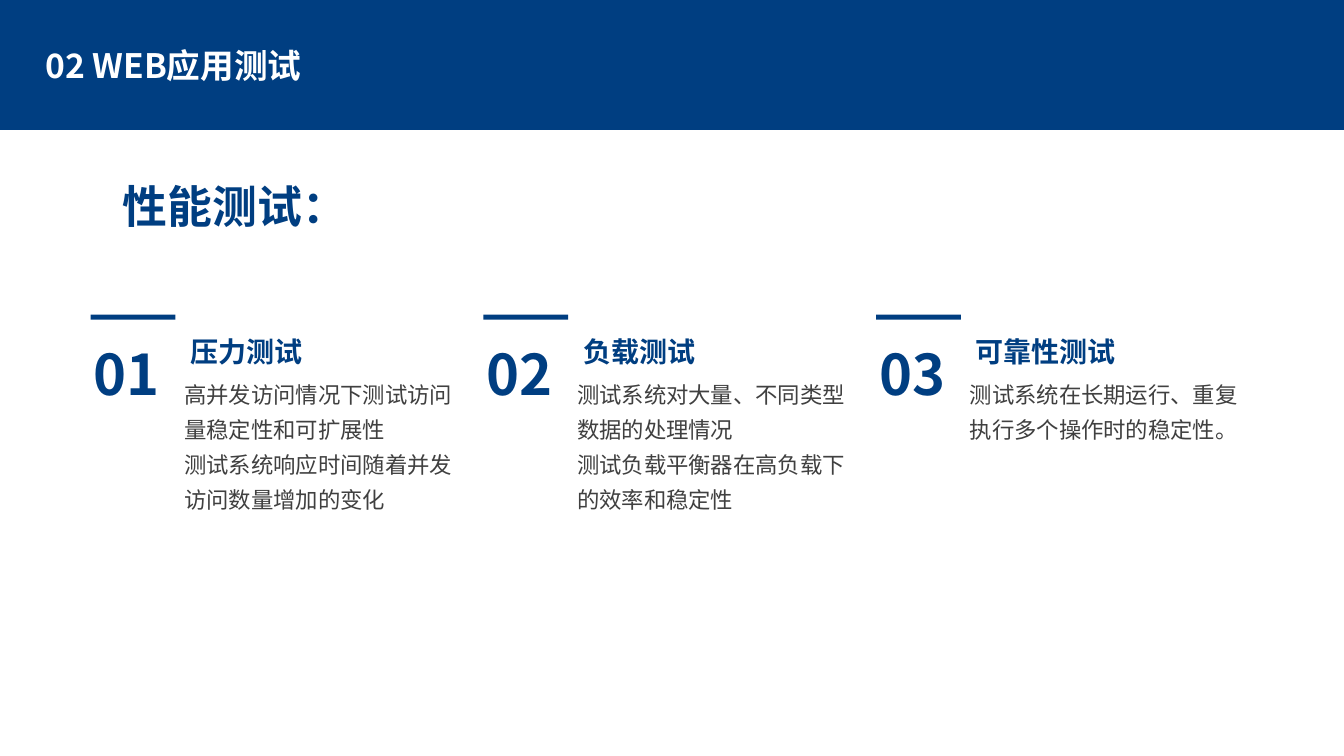
from dataclasses import dataclass

from lxml import etree
from pptx import Presentation
from pptx.dml.color import RGBColor
from pptx.enum.shapes import MSO_SHAPE
from pptx.enum.text import MSO_ANCHOR, MSO_AUTO_SIZE, PP_ALIGN
from pptx.oxml.ns import qn
from pptx.util import Inches, Pt

RECT = MSO_SHAPE.RECTANGLE
LEFT = PP_ALIGN.LEFT
MIDDLE, TOP = MSO_ANCHOR.MIDDLE, MSO_ANCHOR.TOP
FIXED, GROW = MSO_AUTO_SIZE.NONE, MSO_AUTO_SIZE.SHAPE_TO_FIT_TEXT


@dataclass(frozen=True)
class Theme:
    font: str = "Noto Sans CJK SC"
    navy: str = "003E81"
    white: str = "FFFFFF"
    gray: str = "404040"
    title: int = 24
    heading: int = 32
    number: int = 40
    name: int = 20
    body: int = 16


def write(tf, text, *, size, color, font, bold=False, spacing=1.3,
          wrap=False, anchor=TOP, fit=GROW):
    """Fill a text frame, one paragraph per line of text."""
    tf.word_wrap, tf.vertical_anchor, tf.auto_size = wrap, anchor, fit
    for i, line in enumerate(text.split("\n")):
        p = tf.add_paragraph() if i else tf.paragraphs[0]
        p.alignment, p.line_spacing = LEFT, spacing
        r = p.add_run()
        r.text = line
        r.font.size, r.font.bold, r.font.name = Pt(size), bold, font
        r.font.color.rgb = RGBColor.from_string(color)
        # East Asian typeface
        etree.SubElement(r._r.get_or_add_rPr(), qn("a:ea"), typeface=font)


class Deck:
    def __init__(self, prs, theme):
        self.theme = theme
        self.s = prs.slides.add_slide(prs.slide_layouts[5])

    def background(self, color):
        fill = self.s.background.fill
        fill.solid()
        fill.fore_color.rgb = RGBColor.from_string(color)

    def title(self, text, x, y, w, h):
        sp = self.s.shapes.title
        sp.left, sp.top, sp.width, sp.height = map(Inches, (x, y, w, h))
        write(sp.text_frame, text, size=self.theme.title, bold=True,
              color=self.theme.white, font=self.theme.font, spacing=0.9,
              wrap=True, anchor=MIDDLE, fit=FIXED)

    def rect(self, x, y, w, h, color):
        sp = self.s.shapes.add_shape(RECT, *map(Inches, (x, y, w, h)))
        sp.shadow.inherit = False
        sp.fill.solid()
        sp.fill.fore_color.rgb = RGBColor.from_string(color)
        sp.line.fill.background()

    def text(self, text, x, y, w, h, **fmt):
        sp = self.s.shapes.add_textbox(*map(Inches, (x, y, w, h)))
        write(sp.text_frame, text, font=self.theme.font, **fmt)


TESTS = [
    ("压力测试", 1.32, 1.47,
     "高并发访问情况下测试访问量稳定性和可扩展性\n"
     "测试系统响应时间随着并发访问数量增加的变化"),
    ("负载测试", 1.32, 1.47,
     "测试系统对大量、不同类型数据的处理情况\n"
     "测试负载平衡器在高负载下的效率和稳定性"),
    ("可靠性测试", 1.6, 0.77,
     "测试系统在长期运行、重复执行多个操作时的稳定性。"),
]
COLUMN_LEFT, COLUMN_STEP, COLUMN_TOP = 0.83, 3.895, 3.12


def main():
    prs = Presentation()
    prs.slide_width, prs.slide_height = Inches(13.33), Inches(7.5)
    t = Theme()
    deck = Deck(prs, t)

    # Navy header above a white page
    deck.background(t.navy)
    deck.rect(0, 1.29, 13.33, 6.21, t.white)
    deck.title("02 WEB应用测试", 0.35, 0.28, 5.8, 0.79)

    # Section heading
    deck.text("性能测试：", 1.12, 1.56, 2.45, 0.73,
              size=t.heading, color=t.navy, bold=True)

    # One numbered column per kind of test
    for i, (name, name_w, body_h, body) in enumerate(TESTS):
        x, y = COLUMN_LEFT + i * COLUMN_STEP, COLUMN_TOP
        deck.rect(x + 0.07, y, 0.84, 0.05, t.navy)
        deck.text(body, x + 0.9, y + 0.53, 3.07, body_h,
                  size=t.body, color=t.gray, wrap=True)
        deck.text(name, x + 0.96, y + 0.05, name_w, 0.5,
                  size=t.name, color=t.navy, bold=True)
        deck.text(f"{i + 1:02d}", x, y, 0.89, 0.89,
                  size=t.number, color=t.navy, bold=True)

    prs.save("out.pptx")


if __name__ == "__main__":
    main()
